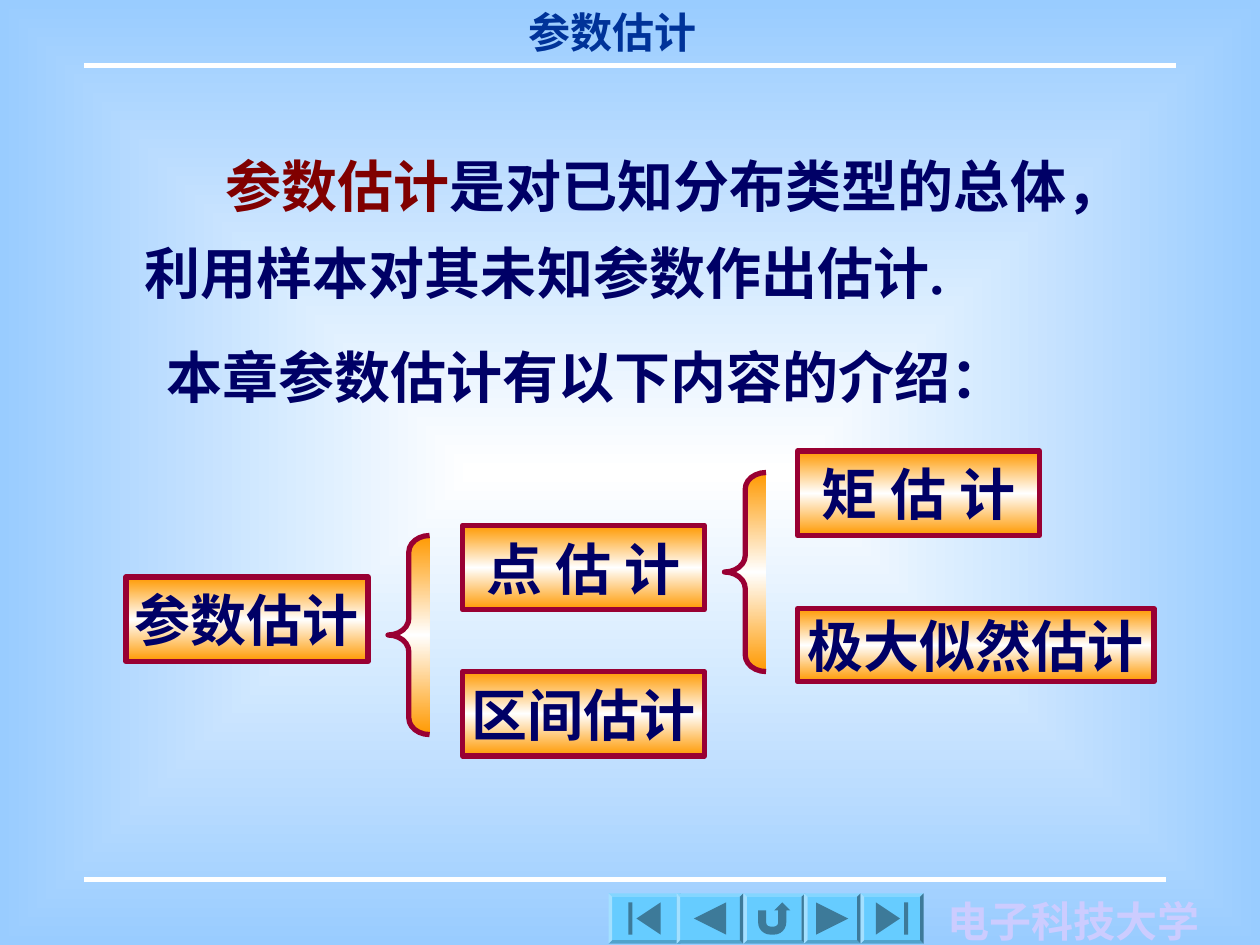
from lxml import etree
from pptx import Presentation
from pptx.dml import color as dml
from pptx.enum import shapes as es, text as et
from pptx.oxml import ns
from pptx.util import Inches, Pt

HUES = {"white": "FFFFFF", "sky": "99CCFF", "title": "003399", "ink": "000066",
        "key": "800000", "edge": "990033", "gold": "FF9900", "nav": "66CCFF",
        "school": "CCCCFF"}
SERIF, SANS = "Times New Roman", "Noto Sans CJK SC"
KIND = es.MSO_SHAPE


def rgb(name):
    return dml.RGBColor.from_string(HUES[name])


def grade(root, stops, shade):
    """Replace the stops and direction of the gradient found below root."""
    grad = next(root.iter(ns.qn("a:gradFill")))
    for part in list(grad):
        grad.remove(part)
    marks = "".join(f'<a:gs pos="{pos * 1000}"><a:srgbClr val="{HUES[hue]}"/></a:gs>'
                    for pos, hue in stops)
    tree = etree.fromstring(
        f'<r {ns.nsdecls("a")}><a:gsLst>{marks}</a:gsLst>{shade}</r>')
    for part in list(tree):
        grad.append(part)


def style(run, size, hue, face=SERIF):
    font = run.font
    font.size, font.bold, font.name = Pt(size), True, face
    font.color.rgb = rgb(hue)
    east = etree.SubElement(run._r.get_or_add_rPr(), ns.qn("a:ea"))
    east.set("typeface", SANS)


def indent(para, left, first):
    props = para._p.get_or_add_pPr()
    props.set("marL", str(Inches(left)))
    props.set("indent", str(Inches(first)))
    etree.SubElement(props, ns.qn("a:buNone"))


def place(shape, x, y, w, h):
    shape.left, shape.top = Inches(x), Inches(y)
    shape.width, shape.height = Inches(w), Inches(h)


def rule(slide, x, y, w):
    line = slide.shapes.add_connector(es.MSO_CONNECTOR.STRAIGHT, Inches(x), Inches(y),
                                      Inches(x + w), Inches(y))
    line.line.color.rgb, line.line.width = rgb("white"), Pt(3)
    etree.SubElement(line._element.spPr, ns.qn("a:effectLst"))


def frame(slide):
    slide.background.fill.gradient()
    grade(slide._element, [(0, "white"), (100, "sky")],
          '<a:path path="rect"><a:fillToRect l="50000" t="50000" r="50000" b="50000"/></a:path>')
    rule(slide, 0.67, 6.98, 8.58)
    rule(slide, 0.67, 0.52, 8.66)


def head(slide, x, y, w, h):
    title = slide.shapes.title
    place(title, x, y, w, h)
    box = title.text_frame
    box.text, box.word_wrap = "参数估计", True
    box.margin_left = box.margin_right = 0
    box.vertical_anchor = et.MSO_ANCHOR.TOP
    para = box.paragraphs[0]
    para.alignment = et.PP_ALIGN.CENTER
    style(para.runs[0], 24, "title")


def intro(slide, x, y, w, h):
    body = slide.placeholders[1]
    place(body, x, y, w, h)
    body.text_frame.margin_top = Inches(0.13)
    para = body.text_frame.paragraphs[0]
    indent(para, 0.38, 0.64)
    para.line_spacing, para.space_before = 1.3, Pt(0)
    for words, hue in (("参数估计", "key"),
                       ("是对已知分布类型的总体，利用样本对其未知参数作出估计.", "ink")):
        run = para.add_run()
        run.text = words
        style(run, 32, hue)


def note(slide, x, y, w, h, words, size, hue, first=0):
    box = slide.shapes.add_textbox(Inches(x), Inches(y), Inches(w), Inches(h)).text_frame
    box.text, box.word_wrap = words, True
    para = box.paragraphs[0]
    indent(para, 0, first)
    para.line_spacing = 0.9
    style(para.runs[0], size, hue)


def gild(slide, kind, x, y, w, h):
    """Add a shape with the gold gradient and dark red edge."""
    shape = slide.shapes.add_shape(kind, Inches(x), Inches(y), Inches(w), Inches(h))
    shape.shadow.inherit = False
    shape.fill.gradient()
    grade(shape._element, [(0, "gold"), (50, "white"), (100, "gold")],
          '<a:lin ang="5400000" scaled="1"/>')
    shape.line.color.rgb, shape.line.width = rgb("edge"), Pt(3)
    return shape


def label(slide, words, x, y, w=1.92, h=0.67):
    box = gild(slide, KIND.RECTANGLE, x, y, w, h).text_frame
    box.text, box.word_wrap = words, False
    box.vertical_anchor = et.MSO_ANCHOR.MIDDLE
    para = box.paragraphs[0]
    para.alignment = et.PP_ALIGN.CENTER
    style(para.runs[0], 32, "ink", SANS)


def brace(slide, x, y):
    shape = gild(slide, KIND.LEFT_BRACE, x, y, 0.33, 1.58)
    shape.adjustments[0], shape.adjustments[1] = 0.4, 0.5


def tree(slide, x, y):
    label(slide, "参数估计", x, y + 1)
    brace(slide, x + 2.08, y + 0.67)
    label(slide, "点 估 计", x + 2.67, y + 0.59)
    label(slide, "区间估计", x + 2.67, y + 1.75)
    brace(slide, x + 4.75, y + 0.17)
    label(slide, "矩 估 计", x + 5.33, y)
    label(slide, "极大似然估计", x + 5.33, y + 1.25, 2.83, 0.58)


def plate(slide, kind, x, y, w, h):
    shape = slide.shapes.add_shape(kind, Inches(x), Inches(y), Inches(w), Inches(h))
    shape.shadow.inherit = False
    shape.fill.solid()
    shape.fill.fore_color.rgb = rgb("nav")
    shape.line.fill.background()
    return shape


def nav(slide, x, y, h):
    """Lay out the navigation buttons, each on a bevelled base."""
    rim = 0.03
    keys = ((KIND.ACTION_BUTTON_BEGINNING, 0, 0.57),
            (KIND.ACTION_BUTTON_BACK_OR_PREVIOUS, 0.54, 0.53),
            (KIND.ACTION_BUTTON_RETURN, 1.07, 0.49),
            (KIND.ACTION_BUTTON_FORWARD_OR_NEXT, 1.55, 0.45),
            (KIND.ACTION_BUTTON_END, 2, 0.5))
    for kind, dx, w in keys:
        base = plate(slide, KIND.BEVEL, x + dx, y, w, h)
        base.adjustments[0] = rim / h
        plate(slide, kind, x + dx + rim, y + rim, w - 2 * rim, h - 2 * rim)


def main():
    deck = Presentation()
    deck.slide_width, deck.slide_height = Inches(10), Inches(7.5)
    slide = deck.slides.add_slide(deck.slide_layouts[1])
    frame(slide)
    head(slide, 4.1, 0, 1.53, 0.5)
    intro(slide, 0.67, 0.91, 8.76, 1.67)
    note(slide, 0.72, 2.73, 7.99, 0.58, "本章参数估计有以下内容的介绍：", 32, "ink", 0.5)
    tree(slide, 1, 3.58)
    nav(slide, 4.83, 7.09, 0.4)
    note(slide, 7.42, 7.1, 2.3, 0.4, "电子科技大学", 24, "school")
    deck.save("out.pptx")


if __name__ == "__main__":
    main()
